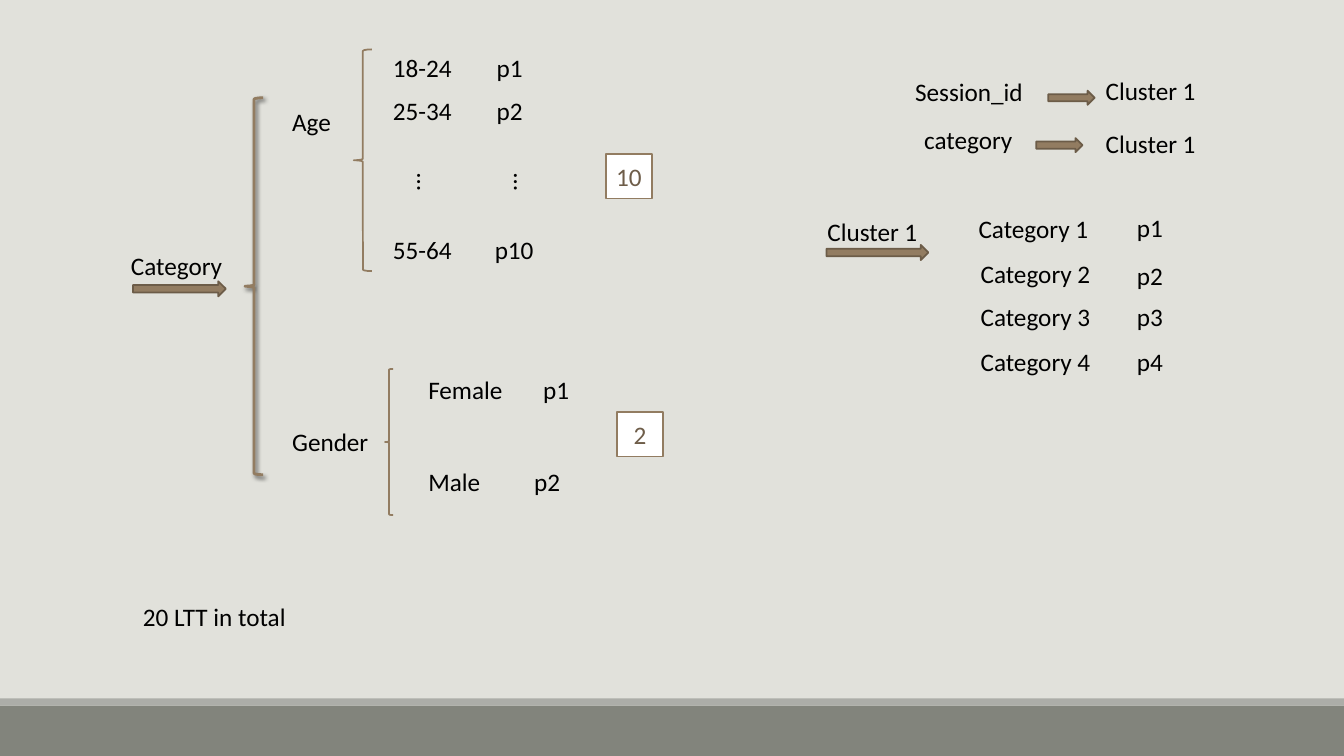
from dataclasses import dataclass

from lxml.etree import SubElement
from pptx import Presentation
from pptx.dml.color import RGBColor
from pptx.enum.shapes import MSO_SHAPE
from pptx.enum.text import MSO_ANCHOR, MSO_AUTO_SIZE, PP_ALIGN
from pptx.oxml.ns import qn
from pptx.shapes.autoshape import Shape
from pptx.slide import Slide
from pptx.util import Inches, Pt

COLORS = {
    "background": "E1E1DB", "footer": "82847C", "footer_edge": "ACADA8",
    "brown": "927C61", "arrow_edge": "6C5C48", "count": "6E5D49",
    "white": "FFFFFF", "black": "000000",
}
COLUMNS, ROWS = 133.33, 75  # square grid cells, a tenth of an inch each
CELL = Inches(0.1)
LABEL_HEIGHT = 4
FONT, FONT_SIZE = "Calibri", Pt(18)


@dataclass(frozen=True)
class Area:
    """A place on the grid, in columns and rows."""
    col: float
    row: float
    width: float
    height: float

    def lengths(self) -> tuple[int, ...]:
        """Left, top, width and height for python-pptx."""
        return tuple(round(CELL * n) for n in (self.col, self.row, self.width, self.height))


@dataclass(frozen=True)
class LabelColumn:
    """Labels of one width that share a left edge, keyed by row."""
    col: float
    width: float
    labels: dict[float, str]


@dataclass(frozen=True)
class Brace:
    """A left brace with its line weight."""
    area: Area
    weight: float = 1.25
    shadowed: bool = False


@dataclass(frozen=True)
class Count:
    """A boxed number."""
    col: float
    row: float
    number: str


LABEL_COLUMNS = [
    LabelColumn(12, 11.2, {24.3: "Category"}),
    LabelColumn(28, 5.9, {10.1: "Age"}),
    LabelColumn(28, 9.7, {41.8: "Gender"}),
    LabelColumn(38, 7.9, {4.7: "18-24", 9: "25-34", 22.8: "55-64"}),
    LabelColumn(48.3, 4.6, {4.7: "p1", 9: "p2"}),
    LabelColumn(48.1, 5.9, {22.8: "p10"}),
    LabelColumn(41.5, 9.5, {36.6: "Female"}),
    LabelColumn(41.5, 7.2, {45.8: "Male"}),
    LabelColumn(52.9, 4.6, {36.6: "p1"}),
    LabelColumn(52, 4.6, {45.8: "p2"}),
    LabelColumn(89.8, 12.8, {7.1: "Session_id"}),
    LabelColumn(90.7, 10.9, {11.8: "category"}),
    LabelColumn(108.7, 11, {7: "Cluster 1", 12.2: "Cluster 1"}),
    LabelColumn(81.1, 11, {21: "Cluster 1"}),
    LabelColumn(96.1, 13, {20.7: "Category 1"}),
    LabelColumn(96.3, 13, {25.1: "Category 2", 29.4: "Category 3", 33.9: "Category 4"}),
    LabelColumn(111.8, 4.6, {20.6: "p1", 25.3: "p2", 29.4: "p3", 33.9: "p4"}),
    LabelColumn(13.2, 16.3, {59.2: "20 LTT in total"}),
]
ELLIPSES = [Area(col, 16.2, 5, 2.7) for col in (39.4, 49)]
ARROWS = [
    Area(13.2, 27.9, 9.2, 1.5),
    Area(104, 9, 4.6, 1.4),
    Area(102.8, 13.7, 4.6, 1.4),
    Area(82, 24.3, 10.1, 1.5),
]
BRACES = [
    Brace(Area(24.3, 9.7, 1.8, 37.4), weight=2, shadowed=True),
    Brace(Area(35.1, 4.9, 1.8, 22)),
    Brace(Area(38.2, 36.6, 0.8, 14.5)),
]
COUNTS = [Count(60.1, 15.3, "10"), Count(61.2, 40.9, "2")]
FOOTER = {"footer": Area(0, 70, COLUMNS, 5), "footer_edge": Area(0, 69.3, COLUMNS, 0.7)}


def color(name: str) -> RGBColor:
    """Look up a named colour."""
    return RGBColor.from_string(COLORS[name])


def write(box: Shape, text: str, ink: str = "black") -> None:
    """Put one styled paragraph into a box."""
    box.text_frame.text = text
    font = box.text_frame.paragraphs[0].font
    font.name, font.size, font.color.rgb = FONT, FONT_SIZE, color(ink)


def add_label(slide: Slide, area: Area, text: str, vertical: bool = False) -> None:
    """Add unwrapped text, optionally running downwards."""
    label = slide.shapes.add_textbox(*area.lengths())
    write(label, text)
    label.text_frame.word_wrap = False
    label.text_frame.auto_size = MSO_AUTO_SIZE.SHAPE_TO_FIT_TEXT
    if vertical:
        label.text_frame._txBody.bodyPr.set("vert", "eaVert")


def add_figure(slide: Slide, kind: MSO_SHAPE, area: Area, fill: str | None = None,
               line: str | None = None, weight: float = 1.25) -> Shape:
    """Add a preset shape without shadow; a missing colour means none."""
    figure = slide.shapes.add_shape(kind, *area.lengths())
    figure.shadow.inherit = False
    if fill:
        figure.fill.solid()
        figure.fill.fore_color.rgb = color(fill)
    else:
        figure.fill.background()
    if line:
        figure.line.color.rgb = color(line)
        figure.line.width = Pt(weight)
    else:
        figure.line.fill.background()
    return figure


def add_brace(slide: Slide, brace: Brace) -> None:
    """Add a left brace, with a soft shadow when asked for."""
    figure = add_figure(slide, MSO_SHAPE.LEFT_BRACE, brace.area,
                        line="brown", weight=brace.weight)
    if brace.shadowed:
        effects = figure._element.spPr.find(qn("a:effectLst"))
        shadow = SubElement(effects, qn("a:outerShdw"), blurRad=str(Pt(3)),
                            dist=str(Pt(2)), dir=str(45 * 60000), rotWithShape="0")
        tint = SubElement(shadow, qn("a:srgbClr"), val=COLORS["black"])
        SubElement(tint, qn("a:alpha"), val="60000")


def add_count(slide: Slide, count: Count) -> None:
    """Add a white box with a centred number."""
    box = add_figure(slide, MSO_SHAPE.RECTANGLE, Area(count.col, count.row, 4.6, 4.4),
                     "white", "brown")
    write(box, count.number, "count")
    box.text_frame.vertical_anchor = MSO_ANCHOR.MIDDLE
    box.text_frame.paragraphs[0].alignment = PP_ALIGN.CENTER


def build() -> None:
    """Draw the slide and save it."""
    deck = Presentation()
    deck.slide_width, deck.slide_height = round(CELL * COLUMNS), CELL * ROWS
    slide = deck.slides.add_slide(deck.slide_layouts[6])
    slide.background.fill.solid()
    slide.background.fill.fore_color.rgb = color("background")

    for fill, area in FOOTER.items():
        add_figure(slide, MSO_SHAPE.RECTANGLE, area, fill)
    for area in ARROWS:
        add_figure(slide, MSO_SHAPE.RIGHT_ARROW, area, "brown", "arrow_edge")
    for brace in BRACES:
        add_brace(slide, brace)
    for count in COUNTS:
        add_count(slide, count)
    for column in LABEL_COLUMNS:
        for row, text in column.labels.items():
            add_label(slide, Area(column.col, row, column.width, LABEL_HEIGHT), text)
    for area in ELLIPSES:
        add_label(slide, area, "…", vertical=True)
    deck.save("out.pptx")


build()
